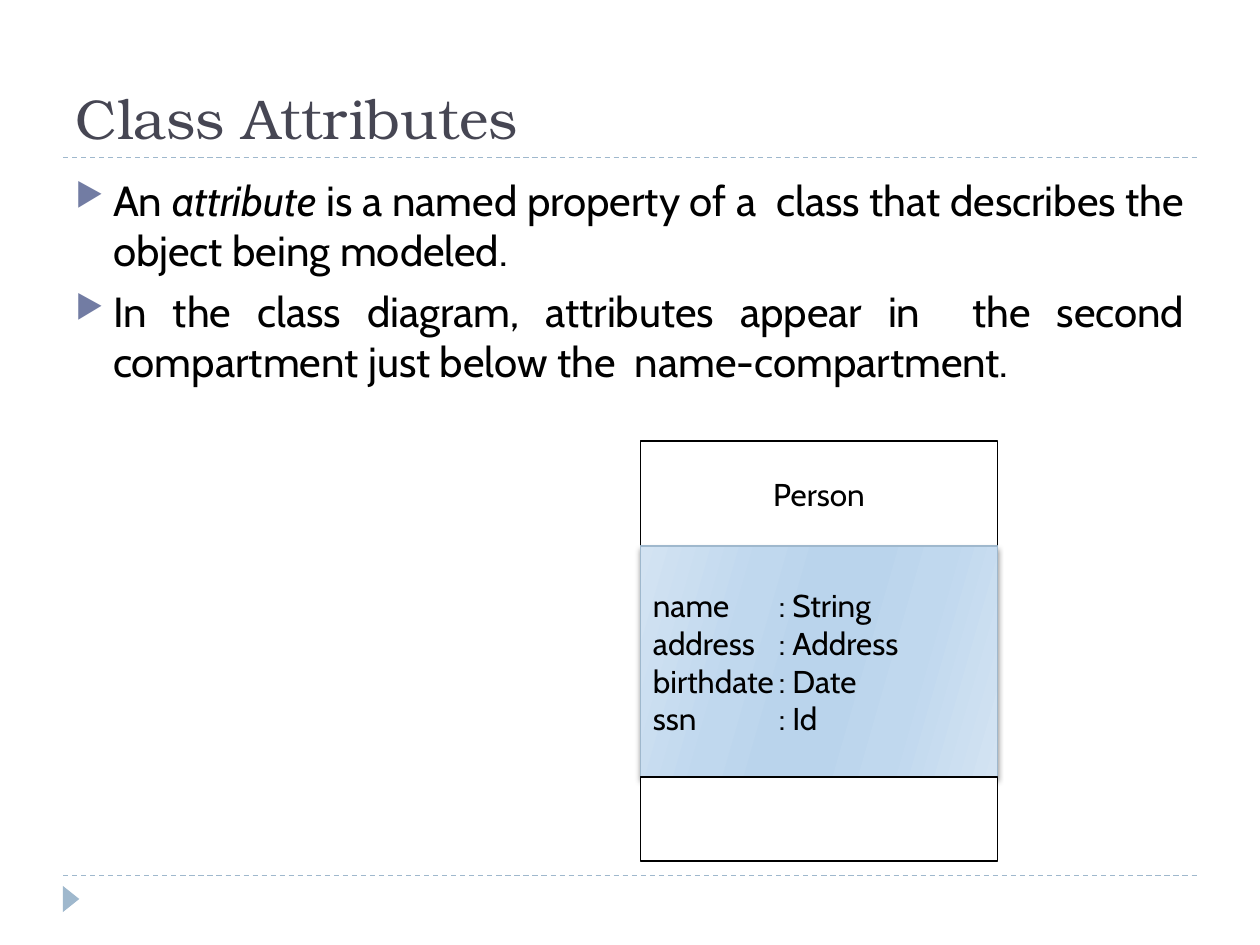
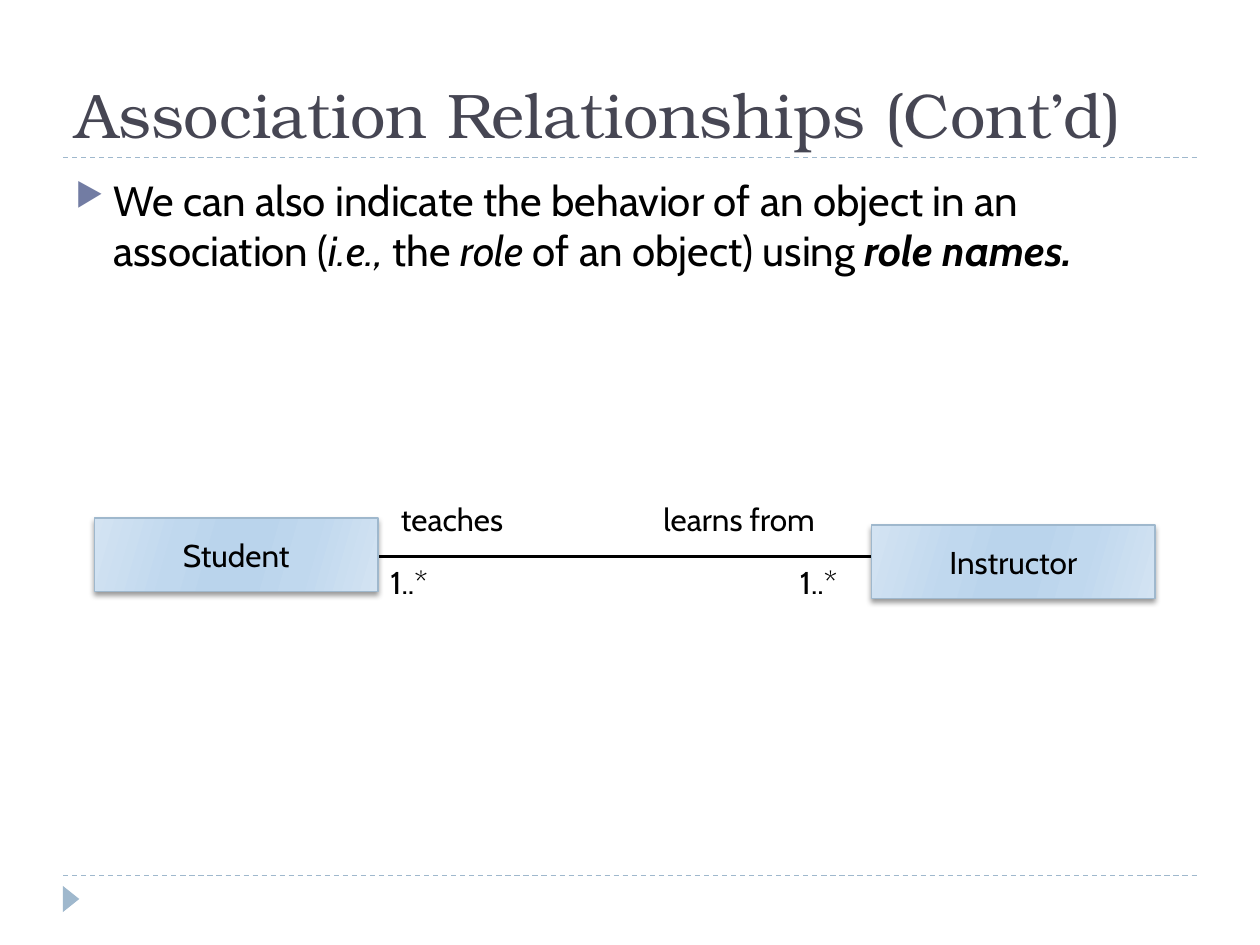
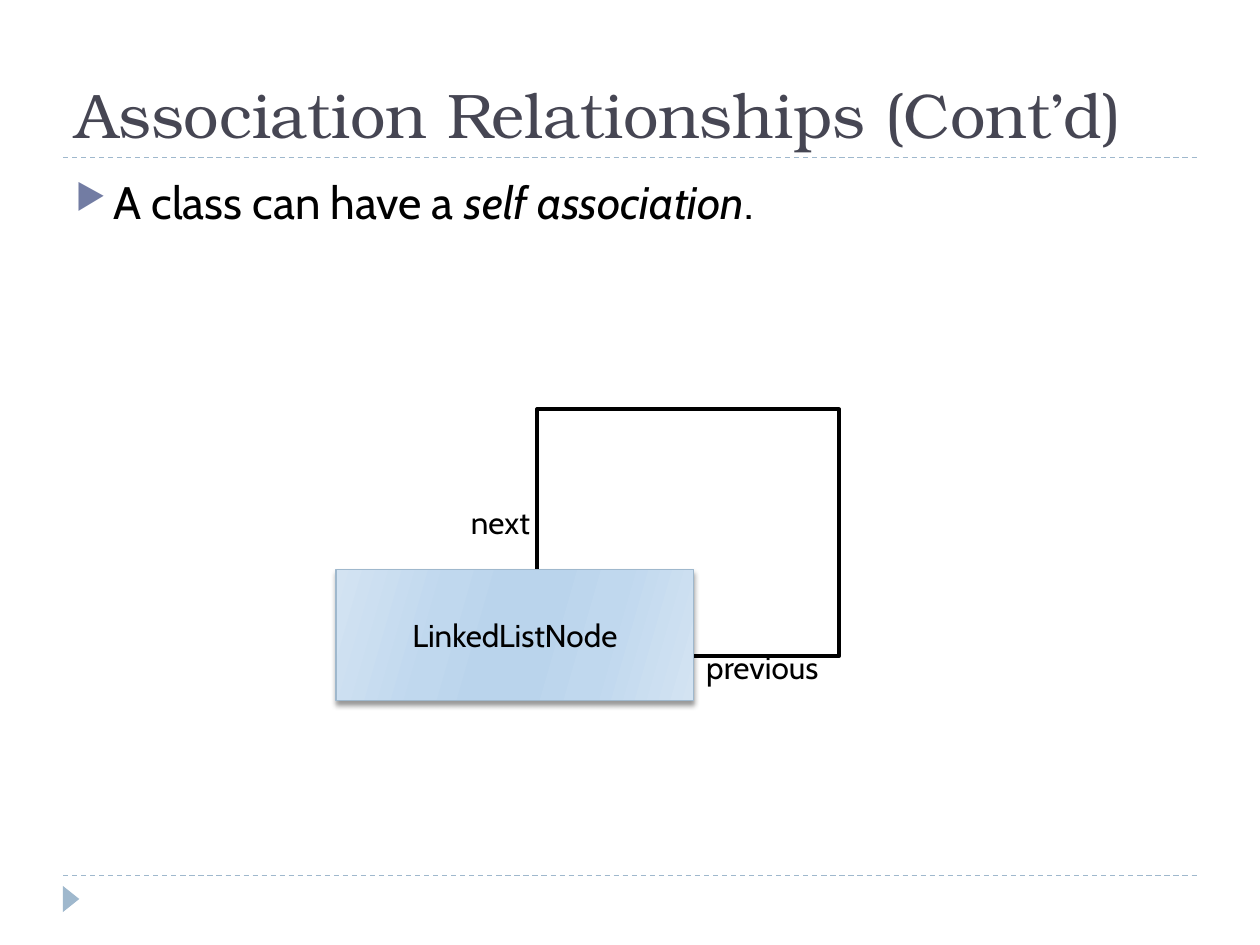
from lxml import etree
from pptx import Presentation
from pptx.dml.color import RGBColor
from pptx.enum.dml import MSO_LINE
from pptx.enum.shapes import MSO_CONNECTOR, MSO_SHAPE
from pptx.enum.text import MSO_ANCHOR, MSO_AUTO_SIZE, PP_ALIGN
from pptx.oxml.ns import qn
from pptx.util import Pt

LEFT, CENTER, JUSTIFY = PP_ALIGN.LEFT, PP_ALIGN.CENTER, PP_ALIGN.JUSTIFY
MIDDLE, BOTTOM = MSO_ANCHOR.MIDDLE, MSO_ANCHOR.BOTTOM
RECTANGLE, TRIANGLE = MSO_SHAPE.RECTANGLE, MSO_SHAPE.ISOSCELES_TRIANGLE
STRAIGHT, DASH = MSO_CONNECTOR.STRAIGHT, MSO_LINE.DASH

# Shared look
colour = RGBColor.from_string
BLACK, WHITE, BLUE, BULLET, TITLE = "000000", "FFFFFF", "9FB8CD", "727CA3", "464653"
GRADIENT = [(0, "D3E3F2"), (30, "C0D8EE"), (45, "BAD4EC"),
            (55, "BAD4EC"), (73, "C0D8EE"), (100, "D3E3F2")]
TITLE_FONT, BODY_FONT = "TeX Gyre Bonum", "Cabin"
ITALIC = {"italic": True}
BOLD_ITALIC = {"bold": True, "italic": True}


def write_text(shape, paragraphs, size=18, align=LEFT, bulleted=False, tab=None):
    """Fill a shape with paragraphs, each a list of (text, format) spans."""
    frame = shape.text_frame
    frame.word_wrap = True
    for index, spans in enumerate(paragraphs):
        para = frame.add_paragraph() if index else frame.paragraphs[0]
        para.alignment = align
        properties = para._p.get_or_add_pPr()
        if bulleted:
            para.space_before = Pt(6 if index else 0)
            properties.set("marL", str(Pt(21.6)))
            properties.set("indent", str(-Pt(21.6)))
            bullet_colour = etree.SubElement(properties, qn("a:buClr"))
            etree.SubElement(bullet_colour, qn("a:srgbClr"), val=BULLET)
            etree.SubElement(properties, qn("a:buSzPct"), val="76000")
            etree.SubElement(properties, qn("a:buChar"), char="▶")
        if tab:
            tabs = etree.SubElement(properties, qn("a:tabLst"))
            etree.SubElement(tabs, qn("a:tab"), pos=str(Pt(tab)), algn="l")
        for text, style in spans:
            span = para.add_run()
            span.text = text
            span.font.color.rgb = colour(BLACK)
            for name, value in {"name": BODY_FONT, "size": Pt(size), **style}.items():
                setattr(span.font, name, value)


def add_box(page, place, shaded=True, line_width=0.75):
    """Add a class box, either plain white or shaded with a soft shadow."""
    box = page.shapes.add_shape(RECTANGLE, *map(Pt, place))
    box.shadow.inherit = False
    box.line.width = Pt(line_width)
    box.line.color.rgb = colour(BLUE if shaded else BLACK)
    box.text_frame.vertical_anchor = MIDDLE
    if not shaded:
        box.fill.solid()
        box.fill.fore_color.rgb = colour(WHITE)
        return box
    box.fill.gradient()
    box.fill.gradient_angle = 344
    stops = box._element.spPr.find(".//" + qn("a:gsLst"))
    for stop in list(stops):
        stops.remove(stop)
    for position, shade in GRADIENT:
        stop = etree.SubElement(stops, qn("a:gs"), pos=str(position * 1000))
        etree.SubElement(stop, qn("a:srgbClr"), val=shade)
    effects = box._element.spPr.find(qn("a:effectLst"))
    shadow = etree.SubElement(effects, qn("a:outerShdw"), blurRad=str(Pt(3)),
                              dist=str(Pt(2)), dir="5400000", rotWithShape="0")
    shadow_colour = etree.SubElement(shadow, qn("a:srgbClr"), val=BLACK)
    etree.SubElement(shadow_colour, qn("a:alpha"), val="40000")
    return box


deck = Presentation()
deck.slide_width, deck.slide_height = Pt(720), Pt(540)

# Titles and body text: title, title size, body size, alignment, paragraphs
contents = [
    ("Class Attributes", 32, 24, JUSTIFY, [
        [("An ", {}), ("attribute", ITALIC),
         (" is a named property of a  class that describes the object being modeled.", {})],
        [("In the class diagram, attributes appear in  the second compartment "
          "just below the  name-compartment.", {})],
    ]),
    ("Association Relationships (Cont’d)", 36, 24, LEFT, [
        [("We can also indicate the behavior of an object in an association (", {}),
         ("i.e.,", ITALIC), (" the ", {}), ("role ", ITALIC),
         ("of an object) using ", {}), ("role names.", BOLD_ITALIC)],
    ]),
    ("Association Relationships (Cont’d)", 36, 26, LEFT, [
        [("A class can have a ", {}), ("self association", ITALIC), (".", {})],
    ]),
]
pages = []
for heading, heading_size, body_size, align, paragraphs in contents:
    page = deck.slides.add_slide(deck.slide_layouts[5])
    pages.append(page)

    # Rules and footer marker
    for y in (500.4, 90):
        rule = page.shapes.add_connector(STRAIGHT, Pt(36), Pt(y), Pt(684), Pt(y))
        rule.line.color.rgb = colour(BLUE)
        rule.line.width = Pt(0.75)
        rule.line.dash_style = DASH
        etree.SubElement(rule._element.spPr, qn("a:effectLst"))
    marker = page.shapes.add_shape(TRIANGLE, Pt(33.1), Pt(509), Pt(15), Pt(9.4))
    marker.rotation = 90
    marker.shadow.inherit = False
    marker.fill.solid()
    marker.fill.fore_color.rgb = colour(BLUE)
    marker.line.fill.background()

    # Title
    title = page.shapes.title
    title.left, title.top, title.width, title.height = map(Pt, (36, 12, 648, 78))
    title.text_frame.text = heading
    title.text_frame.vertical_anchor = BOTTOM
    title.text_frame.auto_size = MSO_AUTO_SIZE.NONE
    para = title.text_frame.paragraphs[0]
    para.alignment = LEFT
    para.font.name = TITLE_FONT
    para.font.size = Pt(heading_size)
    para.font.color.rgb = colour(TITLE)

    # Body
    body = page.shapes.add_textbox(Pt(36), Pt(96), Pt(648), Pt(388.8))
    write_text(body, paragraphs, body_size, align, bulleted=True)

attributes_page, roles_page, self_page = pages

# Person class with its three compartments
name_box = add_box(attributes_page, (366, 252, 204, 60), shaded=False)
write_text(name_box, [[("Person", {})]], align=CENTER)
attribute_box = add_box(attributes_page, (366, 312, 204, 132))
attributes = [("name", "String"), ("address", "Address"), ("birthdate", "Date"), ("ssn", "Id")]
write_text(attribute_box, [[(f"{name}\t: {kind}", {})] for name, kind in attributes], tab=72)
add_box(attributes_page, (366, 444, 204, 48), shaded=False)

# Association between student and instructor
association = roles_page.shapes.add_connector(STRAIGHT, Pt(216), Pt(318), Pt(504), Pt(318))
association.line.color.rgb = colour(BLACK)
association.line.width = Pt(2.25)
etree.SubElement(association._element.spPr, qn("a:effectLst"))

# Self association loop, partly behind its class
add_box(self_page, (306.7, 234, 172.8, 141), shaded=False, line_width=2.25)

for page, name, place in [
    (roles_page, "Instructor", (498, 300, 162, 42)),
    (roles_page, "Student", (54, 296, 162, 42)),
    (self_page, "LinkedListNode", (192, 325.5, 204.5, 75)),
]:
    write_text(add_box(page, place), [[(name, {})]], align=CENTER)

# Role names and multiplicities
for page, label, place in [
    (roles_page, "1..*", (450, 318, 54, 36)),
    (roles_page, "1..*", (216, 318, 54, 36)),
    (roles_page, "learns from", (372, 282, 126, 36)),
    (roles_page, "teaches", (222, 282, 90, 36)),
    (self_page, "next", (262, 284, 51, 40)),
    (self_page, "previous", (396.5, 367, 89, 40)),
]:
    write_text(page.shapes.add_textbox(*map(Pt, place)), [[(label, {})]])

deck.save("out.pptx")
